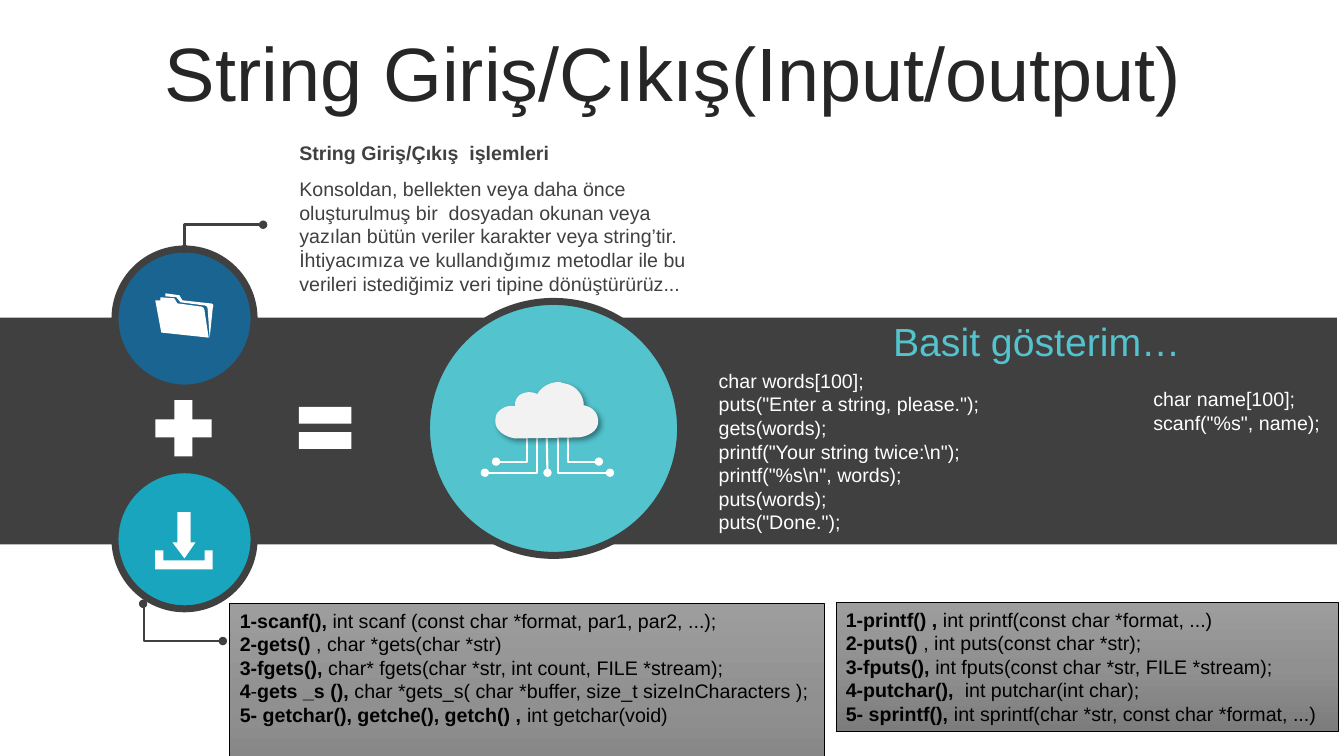
from lxml import etree
from pptx import Presentation
from pptx import util as u
from pptx.dml.color import RGBColor
from pptx.enum import shapes, text
from pptx.oxml.ns import qn

W, H = 13.33, 7.5
DARK, WHITE, SKY, BLACK = "404040", "FFFFFF", "53C3CD", "000000"
KIND = shapes.MSO_SHAPE

# Content: a line is a string, or a list of (text, bold) runs
TITLE = "String Giriş/Çıkış(Input/output)"
INTRO_HEAD = "String Giriş/Çıkış  işlemleri"
INTRO = ("Konsoldan, bellekten veya daha önce oluşturulmuş bir  dosyadan okunan veya "
         "yazılan bütün veriler karakter veya string’tir. İhtiyacımıza ve kullandığımız "
         "metodlar ile bu verileri istediğimiz veri tipine dönüştürürüz...")
DEMO_HEAD = "Basit gösterim…"
PUTS_CODE = [
    "char words[100];",
    'puts("Enter a string, please.");',
    "gets(words);",
    r'printf("Your string twice:\n");',
    r'printf("%s\n", words);',
    "puts(words);",
    'puts("Done.");',
]
SCANF_CODE = ["char name[100];", 'scanf("%s", name);']
INPUTS = [
    [("1-scanf(), ", True), ("int scanf (const char *format, par1, par2, ...);", False)],
    [("2-gets() ", True), (", char *gets(char *str)", False)],
    [("3-fgets(), ", True), ("char* fgets(char *str, int count, FILE *stream);", False)],
    [("4", True), ("-", False), ("gets _s (), ", True),
     ("char *gets_s( char *buffer, size_t sizeInCharacters );", False)],
    [("5- getchar(), getche(), getch() , ", True), ("int getchar(void)", False)],
]
OUTPUTS = [
    [("1-printf() , ", True), ("int printf(const char *format, ...)", False)],
    [("2-puts() ", True), (", int puts(const char *str);", False)],
    [("3-fputs(), ", True), ("int fputs(const char *str, FILE *stream);", False)],
    [("4-putchar(),  ", True), ("int putchar(int char);", False)],
    [("5- sprintf(), ", True), ("int sprintf(char *str, const char *format, ...)", False)],
]

# Icon outlines in inches: two numbers make a line, six make a curve
CLOUD = [[
    (5.55, 3.79), (5.56, 3.79, 5.57, 3.8, 5.58, 3.8), (5.74, 3.82, 5.79, 3.95, 5.79, 4.02),
    (5.93, 4.05, 5.94, 4.16, 5.93, 4.21), (5.91, 4.31, 5.77, 4.34, 5.73, 4.34), (5.11, 4.35),
    (5.04, 4.34, 4.98, 4.31, 4.94, 4.26), (4.9, 4.21, 4.91, 4.14, 4.93, 4.1),
    (4.95, 4.07, 5.02, 4.01, 5.11, 4.03), (5.1, 3.98, 5.13, 3.93, 5.17, 3.91),
    (5.23, 3.88, 5.29, 3.89, 5.33, 3.91), (5.35, 3.87, 5.42, 3.79, 5.55, 3.79),
]]
FOLDER = [
    [(1.59, 2.95), (1.73, 2.96), (1.76, 3.01), (1.98, 3.04), (2.02, 3.04, 2.03, 3.07, 2.03, 3.09),
     (2.07, 3.35), (1.6, 3.3), (1.54, 2.98), (1.59, 2.98)],
    [(1.64, 2.91), (1.78, 2.93), (1.81, 2.98), (2.08, 3.01), (2.12, 3.01, 2.12, 3.03, 2.11, 3.06),
     (2.08, 3.35), (2.06, 3.07), (2.06, 3.05, 2.05, 3.03, 2.02, 3.03), (1.79, 3), (1.75, 2.95),
     (1.64, 2.94), (1.64, 2.93, 1.64, 2.92, 1.64, 2.91)],
]
DOWNLOAD = [
    [(1.54, 5.46), (1.62, 5.46), (1.62, 5.56), (2.03, 5.56), (2.03, 5.46), (2.11, 5.46),
     (2.11, 5.65), (1.54, 5.65)],
    [(1.76, 5.08), (1.89, 5.08), (1.89, 5.38), (1.94, 5.38), (1.83, 5.54), (1.71, 5.38),
     (1.76, 5.38)],
]

prs = Presentation()
prs.slide_width, prs.slide_height = u.Inches(W), u.Inches(H)
s = prs.slides.add_slide(prs.slide_layouts[5])


def rgb(color):
    return RGBColor.from_string(color)


def node(parent, tag, **attrs):
    return etree.SubElement(parent, qn(tag), {k: str(v) for k, v in attrs.items()})


def write(sp, lines, size=14, color=DARK, bold=False, align=text.PP_ALIGN.LEFT,
          anchor=text.MSO_ANCHOR.TOP, wrap=True):
    tf = sp.text_frame
    tf.word_wrap, tf.vertical_anchor = wrap, anchor
    for i, line in enumerate(lines):
        p = tf.paragraphs[0] if i == 0 else tf.add_paragraph()
        p.alignment = align
        for words, strong in [(line, bold)] if isinstance(line, str) else line:
            r = p.add_run()
            r.text = words
            r.font.name, r.font.size, r.font.bold = "Arial", u.Pt(size), strong
            r.font.color.rgb = rgb(color)


def textbox(box, lines, **fmt):
    write(s.shapes.add_textbox(*map(u.Inches, box)), lines, **fmt)


def paint(sp, fill, line=None, width=1):
    if isinstance(fill, str):
        sp.fill.solid()
        sp.fill.fore_color.rgb = rgb(fill)
    else:
        grad = node(sp._element.spPr, "a:gradFill", rotWithShape=1)
        stops = node(grad, "a:gsLst")
        for i, color in enumerate(fill):
            stop = node(stops, "a:gs", pos=100000 * i // (len(fill) - 1))
            node(stop, "a:srgbClr", val=color)
        node(grad, "a:lin", ang=90 * 60000, scaled=0)
    if line:
        sp.line.color.rgb, sp.line.width = rgb(line), u.Pt(width)
    else:
        sp.line.fill.background()
    sp.shadow.inherit = False
    return sp


def shape(kind, box, fill, **outline):
    return paint(s.shapes.add_shape(kind, *map(u.Inches, box)), fill, **outline)


def flatten(contour, steps=8):
    """Turn an outline in inches into a list of corner points in EMU."""
    pts = [contour[0]]
    for seg in contour[1:]:
        if len(seg) == 2:
            pts.append(seg)
            continue
        ctrl = [pts[-1], seg[:2], seg[2:4], seg[4:]]
        for t in (i / steps for i in range(1, steps + 1)):
            weights = ((1 - t) ** 3, 3 * t * (1 - t) ** 2, 3 * t * t * (1 - t), t ** 3)
            pts.append(tuple(sum(w * c[k] for w, c in zip(weights, ctrl)) for k in (0, 1)))
    return [(u.Inches(x), u.Inches(y)) for x, y in pts]


def icon(contours, fill):
    first, *rest = [flatten(c) for c in contours]
    fb = s.shapes.build_freeform(*first[0])
    fb.add_line_segments(first[1:])
    for pts in rest:
        fb.move_to(*pts[0])
        fb.add_line_segments(pts[1:])
    return paint(fb.convert_to_shape(), fill)


def wire(start, end, color, width, bend=None, ends=("a:tailEnd",)):
    """Straight line, or an elbow that turns at the share `bend` of its width."""
    kind = shapes.MSO_CONNECTOR.STRAIGHT if bend is None else shapes.MSO_CONNECTOR.ELBOW
    c = s.shapes.add_connector(kind, *map(u.Inches, start + end))
    c.line.color.rgb, c.line.width = rgb(color), u.Pt(width)
    spPr = c._element.spPr
    if bend is not None:
        guides = spPr.find(qn("a:prstGeom")).find(qn("a:avLst"))
        node(guides, "a:gd", name="adj1", fmla=f"val {round(bend * 100000)}")
    for tag in ends:
        node(spPr.find(qn("a:ln")), tag, type="oval")
    node(spPr, "a:effectLst")


# Title
title = s.shapes.title
title.left, title.top, title.width, title.height = map(u.Inches, (0.35, 0.37, 12.66, 0.79))
write(title, [TITLE], size=54, color="262626", align=text.PP_ALIGN.CENTER,
      anchor=text.MSO_ANCHOR.MIDDLE)
title.text_frame.paragraphs[0].line_spacing = 0.9

# Band, circles and operators
shape(KIND.RECTANGLE, (-0.07, 3.15, W, 2.25), DARK)
for x, y, d, fill in [(1.14, 2.47, 1.38, "196491"), (1.14, 4.66, 1.38, "19A5BE"),
                      (4.23, 2.99, 2.52, SKY)]:
    shape(KIND.OVAL, (x, y, d, d), fill, line=DARK, width=5)
shape(KIND.MATH_PLUS, (1.44, 3.87, 0.76, 0.76), WHITE)
shape(KIND.MATH_EQUAL, (2.87, 3.89, 0.71, 0.71), WHITE)

# Function lists
for box, lines in [((2.28, 5.99, 5.9, 2.05), INPUTS), ((8.29, 5.98, 4.98, 1.28), OUTPUTS)]:
    panel = shape(KIND.RECTANGLE, box, ("9D9D9D", "909090", "7C7C7C"), line=BLACK, width=0.5)
    write(panel, lines, color=BLACK)

# Introduction and sample code
textbox((2.87, 1.35, 4.29, 0.34), [INTRO_HEAD], bold=True)
textbox((2.87, 1.71, 4.29, 1.28), [INTRO])
textbox((8.76, 3.1, 3.07, 0.57), [DEMO_HEAD], size=28, color=SKY)
textbox((7.03, 3.61, 6.67, 1.75), PUTS_CODE, color=WHITE)
textbox((11.34, 3.79, 1.92, 0.57), SCANF_CODE, color=WHITE, wrap=False)

# Callout lines
for start, end, bend in [((2.61, 2.23), (1.83, 2.47), 1), ((2.21, 6.36), (1.42, 5.99), 0.99)]:
    wire(start, end, DARK, 2, bend, ends=("a:headEnd", "a:tailEnd"))

# Cloud with its mirrored wires
AXIS = 5.43
for side in (1, -1):
    for near, far, top, bottom, bend in [(0.2, 0.51, 4.32, 4.58, 0.01),
                                         (0.09, 0.62, 4.28, 4.69, 0.03)]:
        wire((AXIS + side * near, top), (AXIS + side * far, bottom), WHITE, 1.5, bend)
wire((AXIS - 0.01, 4.21), (AXIS, 4.69), WHITE, 1.5)
cloud = icon(CLOUD, "F2F2F2")
shadow = node(cloud._element.spPr.find(qn("a:effectLst")), "a:outerShdw", blurRad=u.Pt(4),
              dist=u.Pt(3), dir=45 * 60000, algn="tl", rotWithShape=0)
node(node(shadow, "a:srgbClr", val=BLACK), "a:alpha", val=40000)

# Folder and download icons
icon(FOLDER, WHITE)
icon(DOWNLOAD, WHITE)

prs.save("out.pptx")
